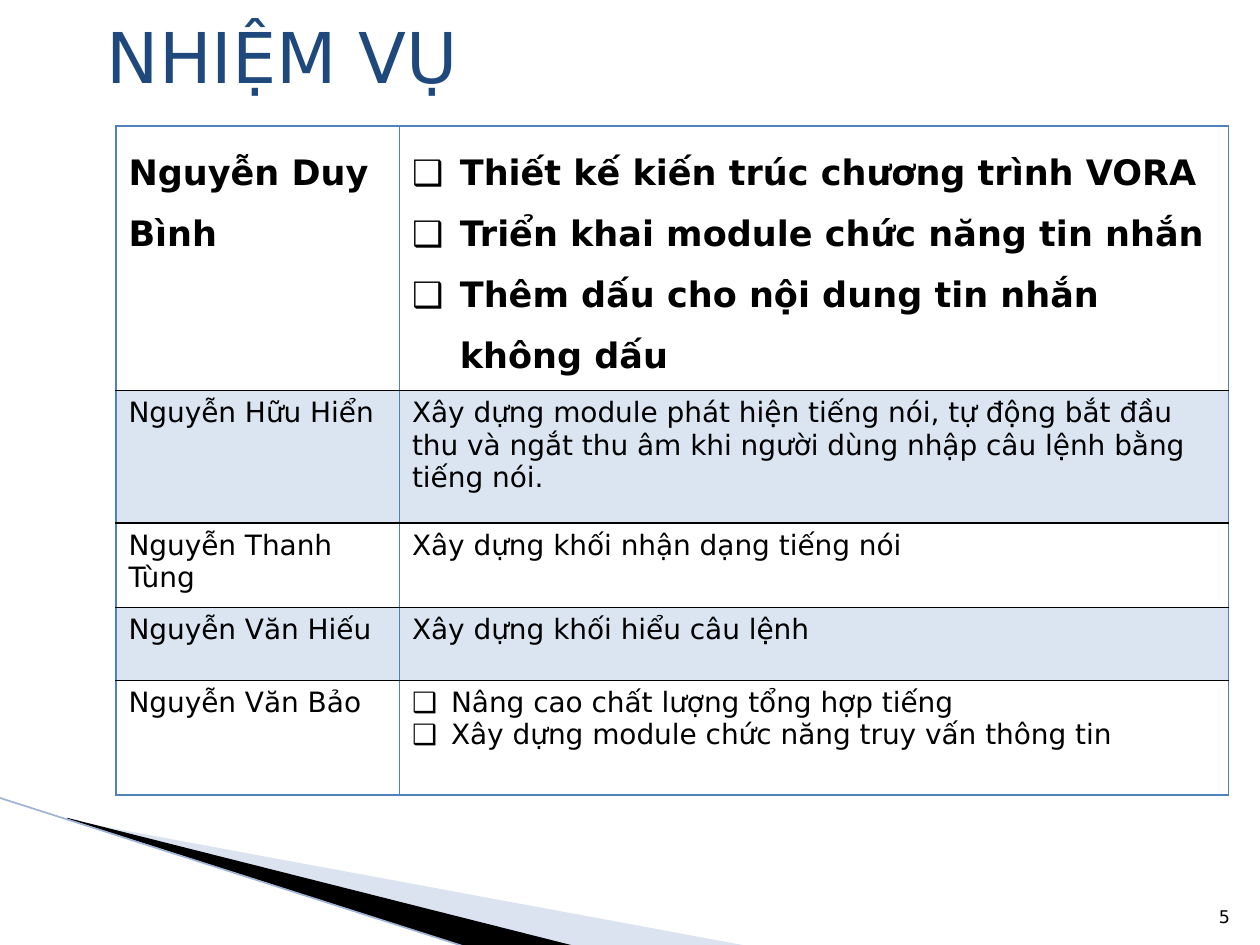
from dataclasses import dataclass
from lxml.etree import SubElement
from pptx import Presentation
from pptx.dml.color import RGBColor
from pptx.enum.shapes import MSO_CONNECTOR
from pptx.enum.text import MSO_ANCHOR, PP_ALIGN
from pptx.oxml import parse_xml
from pptx.oxml.ns import nsdecls, qn
from pptx.util import Inches, Pt


@dataclass(frozen=True)
class Theme:
    font: str = "DejaVu Sans"
    ink: str = "000000"
    title: str = "1F497D"
    blue: str = "4F81BD"
    wedge: str = "A7B9DB"
    edge: str = "9EB3D6"
    title_size: int = 40
    head_size: int = 20
    body_size: int = 16
    page_size: int = 10


THEME = Theme()
COLS = [2.25, 6.58]
ROWS = [1.83, 1.05, 0.67, 0.58, 0.91]
TASKS = [
    ("Nguyễn Duy Bình", [
        "Thiết kế kiến trúc chương trình VORA",
        "Triển khai module chức năng tin nhắn",
        "Thêm dấu cho nội dung tin nhắn không dấu",
    ]),
    ("Nguyễn Hữu Hiển", [
        "Xây dựng module phát hiện tiếng nói, tự động bắt đầu thu và ngắt "
        "thu âm khi người dùng nhập câu lệnh bằng tiếng nói.",
    ]),
    ("Nguyễn Thanh Tùng", ["Xây dựng khối nhận dạng tiếng nói"]),
    ("Nguyễn Văn Hiếu", ["Xây dựng khối hiểu câu lệnh"]),
    ("Nguyễn Văn Bảo", [
        "Nâng cao chất lượng tổng hợp tiếng",
        "Xây dựng module chức năng truy vấn thông tin",
    ]),
]


def paint(fill, color, alpha=100):
    fill.solid()
    fill.fore_color.rgb = RGBColor.from_string(color)
    if alpha < 100:
        tone = fill._xPr.find(qn("a:solidFill"))[0]
        SubElement(tone, qn("a:alpha"), val=str(alpha * 1000))


def add_run(para, text, size, color, bold=False):
    run = para.add_run()
    run.text = text
    font = run.font
    font.name, font.size, font.bold = THEME.font, Pt(size), bold
    font.color.rgb = RGBColor.from_string(color)


def add_label(slide, box, text, size, color, anchor, align):
    frame = slide.shapes.add_textbox(*map(Inches, box)).text_frame
    frame.word_wrap = True
    frame.vertical_anchor = anchor
    para = frame.paragraphs[0]
    para.alignment = align
    add_run(para, text, size, color)


def add_wedge(slide, points, color, alpha=100):
    start, *rest = [(Inches(x), Inches(y)) for x, y in points]
    pen = slide.shapes.build_freeform(*start)
    pen.add_line_segments(rest, close=True)
    shape = pen.convert_to_shape()
    shape.shadow.inherit = False
    shape.line.fill.background()
    paint(shape.fill, color, alpha)


def add_edge(slide, start, end):
    line = slide.shapes.add_connector(
        MSO_CONNECTOR.STRAIGHT, *map(Inches, start + end))
    line.line.color.rgb = RGBColor.from_string(THEME.edge)
    line.line.width = Pt(0.95)
    SubElement(line._element.spPr, qn("a:effectLst"))


def add_bullet(para, indent):
    props = para._p.get_or_add_pPr()
    props.set("marL", str(Inches(indent)))
    props.set("indent", str(-Inches(indent)))
    SubElement(props, qn("a:buFont"), typeface=THEME.font)
    SubElement(props, qn("a:buChar"), char="❑")


def add_border(cell, top, bottom):
    sides = {"L": THEME.blue, "R": THEME.blue, "T": top, "B": bottom}
    props = cell._tc.get_or_add_tcPr()
    for spot, (side, color) in enumerate(sides.items()):
        props.insert(spot, parse_xml(
            f'<a:ln{side} {nsdecls("a")} w="{Pt(1)}"><a:solidFill>'
            f'<a:srgbClr val="{color}"/></a:solidFill></a:ln{side}>'))


def fill_cell(cell, lines, head):
    frame = cell.text_frame
    size = THEME.head_size if head else THEME.body_size
    for spot, text in enumerate(lines):
        para = frame.add_paragraph() if spot else frame.paragraphs[0]
        if head:
            para.line_spacing = 1.5
        if len(lines) > 1:
            add_bullet(para, 0.38 if head else 0.31)
        add_run(para, text, size, THEME.ink, head)


def add_tasks(slide):
    table = slide.shapes.add_table(
        len(ROWS), len(COLS), Inches(0.92), Inches(1),
        Inches(sum(COLS)), Inches(sum(ROWS))).table
    table.first_row = table.horz_banding = False
    for col, width in zip(table.columns, COLS):
        col.width = Inches(width)
    last = len(ROWS) - 1
    for spot, (name, jobs) in enumerate(TASKS):
        table.rows[spot].height = Inches(ROWS[spot])
        top = THEME.ink if spot else THEME.blue
        bottom = THEME.ink if spot < last else THEME.blue
        for col, lines in enumerate(([name], jobs)):
            cell = table.cell(spot, col)
            fill_cell(cell, lines, spot == 0)
            if spot % 2:
                paint(cell.fill, THEME.blue, 20)
            else:
                cell.fill.background()
            add_border(cell, top, bottom)


def main():
    deck = Presentation()
    deck.slide_width, deck.slide_height = Inches(10), Inches(7.5)
    slide = deck.slides.add_slide(deck.slide_layouts[6])
    add_wedge(slide, [(0.55, 6.51), (5.95, 7.51), (4.56, 7.51), (0.55, 6.5)],
              THEME.wedge, 40)
    add_wedge(slide, [(0.53, 6.49), (4.57, 7.51), (3.72, 7.52), (0.54, 6.5)],
              THEME.ink)
    add_edge(slide, (-0.01, 6.33), (3.71, 7.52))
    add_label(slide, (9.46, 7.01, 0.4, 0.4), "5", THEME.page_size, THEME.ink,
              MSO_ANCHOR.BOTTOM, PP_ALIGN.RIGHT)
    add_label(slide, (0.75, 0.05, 8.33, 0.78), "NHIỆM VỤ", THEME.title_size,
              THEME.title, MSO_ANCHOR.MIDDLE, PP_ALIGN.LEFT)
    add_tasks(slide)
    deck.save("out.pptx")


if __name__ == "__main__":
    main()
